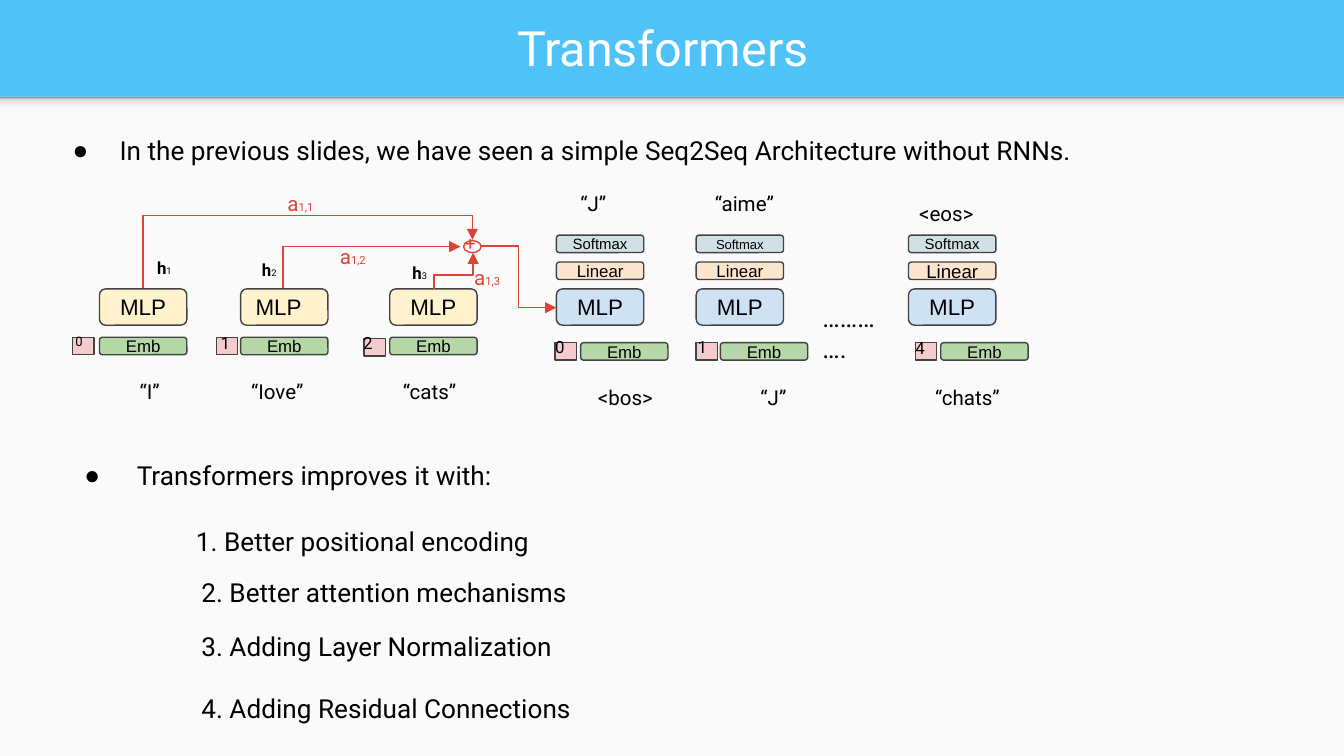
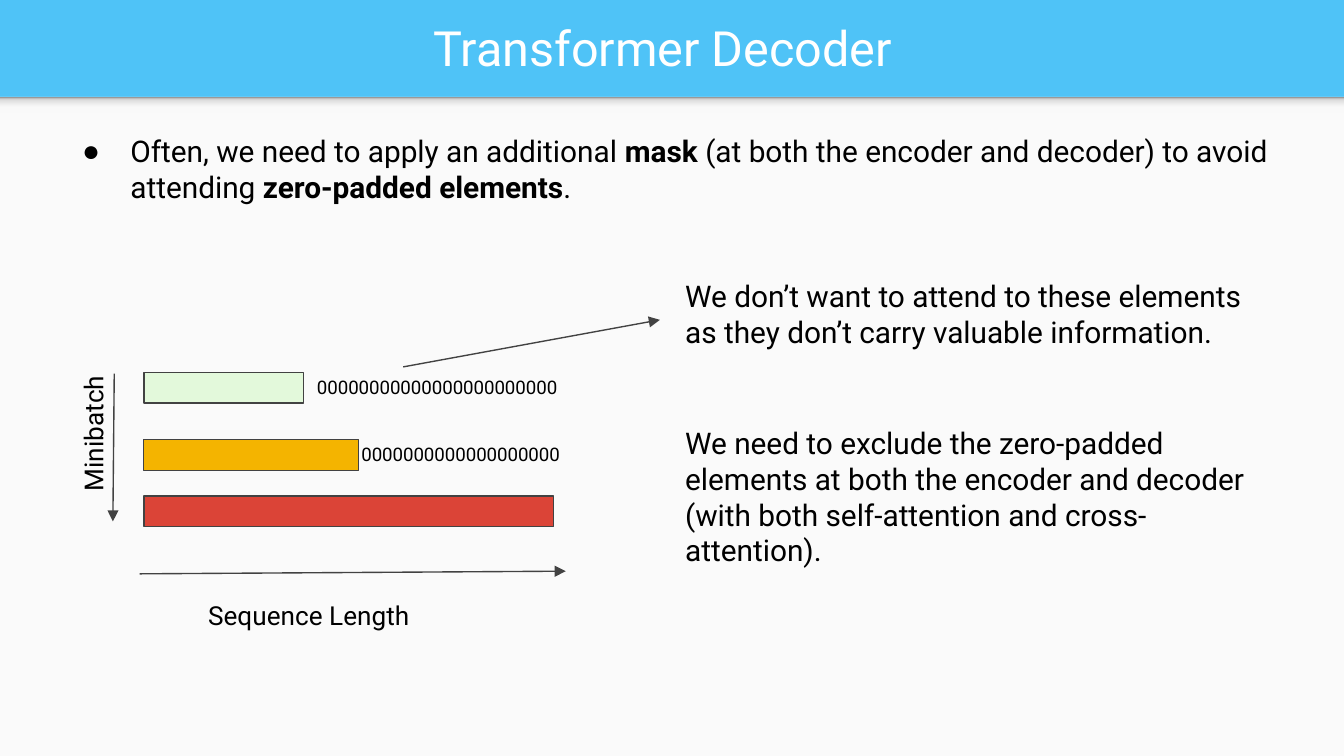
from dataclasses import dataclass

from lxml import etree
from pptx import Presentation
from pptx import util as u
from pptx.dml.color import RGBColor
from pptx.enum import shapes, text
from pptx.oxml.ns import qn

PX = 9144
LEFT, MID = text.PP_ALIGN.LEFT, text.PP_ALIGN.CENTER
TOP, CORE = text.MSO_ANCHOR.TOP, text.MSO_ANCHOR.MIDDLE
FIT, FIXED = text.MSO_AUTO_SIZE.SHAPE_TO_FIT_TEXT, text.MSO_AUTO_SIZE.NONE
RECT = shapes.MSO_SHAPE.RECTANGLE
ROUND = shapes.MSO_SHAPE.ROUNDED_RECTANGLE
OVAL = shapes.MSO_SHAPE.OVAL


@dataclass(frozen=True)
class Theme:
    sky: str = "4FC3F7"
    page: str = "FAFAFA"
    white: str = "FFFFFF"
    ink: str = "000000"
    edge: str = "424242"
    red: str = "DB4437"
    cream: str = "FFF2CC"
    green: str = "B6D7A8"
    pink: str = "F4CCCC"
    blue: str = "CFE2F3"
    peach: str = "FCE5CD"
    teal: str = "D0E0E3"
    mint: str = "E3F9DB"
    gold: str = "F4B400"
    shade: tuple = ((0, "F9F9F9"), (36, "F9F9F9"), (80, "DEDEDE"), (100, "999999"))
    font: str = "Roboto"
    sans: str = "Arial"
    head: int = 26
    lead: int = 16
    list: int = 14
    block: int = 12
    word: int = 11
    zero: int = 10
    small: int = 9
    sub: int = 6
    tiny: int = 5
    line: float = 0.75


T = Theme()


def px(*nums):
    return [u.Emu(n * PX) for n in nums]


def rgb(code):
    return RGBColor.from_string(code)


def write(frame, runs, size=T.word, color=T.ink, font=T.font, align=LEFT,
          anchor=TOP, fit=FIT, hang=None):
    frame.word_wrap = True
    frame.auto_size = fit
    frame.vertical_anchor = anchor
    frame.margin_left = frame.margin_right = u.Inches(0.1)
    frame.margin_top = frame.margin_bottom = u.Inches(0.1)
    para = frame.paragraphs[0]
    para.alignment = align
    para.space_before = u.Pt(0)
    if hang:
        bullet(para, *hang)
    for item in [(runs, {})] if isinstance(runs, str) else runs:
        part, look = item
        run = para.add_run()
        run.text = part
        run.font.name = font
        run.font.size = u.Pt(look.get("size", size))
        run.font.bold = look.get("bold", False)
        run.font.color.rgb = rgb(color)


def bullet(para, left, back):
    props = para._p.get_or_add_pPr()
    props.set("marL", str(left * PX))
    props.set("indent", str(-back * PX))
    tint = etree.SubElement(props, qn("a:buClr"))
    etree.SubElement(tint, qn("a:srgbClr"), val=T.ink)
    etree.SubElement(props, qn("a:buFont"), typeface=T.sans)
    etree.SubElement(props, qn("a:buChar"), char="●")


def label(slide, box, runs, **look):
    shape = slide.shapes.add_textbox(*px(*box))
    write(shape.text_frame, runs, **look)
    return shape


def block(slide, kind, box, fill, line=T.edge, words="", size=T.small, align=MID):
    shape = slide.shapes.add_shape(kind, *px(*box))
    shape.shadow.inherit = False
    shape.fill.solid()
    shape.fill.fore_color.rgb = rgb(fill)
    if line:
        shape.line.color.rgb = rgb(line)
        shape.line.width = u.Pt(T.line)
    else:
        shape.line.fill.background()
    if words:
        write(shape.text_frame, words, size=size, font=T.sans, align=align,
              anchor=CORE, fit=FIXED)
    return shape


def arrow(slide, start, end, color=T.edge, kind=shapes.MSO_CONNECTOR.STRAIGHT):
    link = slide.shapes.add_connector(kind, *px(*start, *end))
    link.line.color.rgb = rgb(color)
    link.line.width = u.Pt(T.line)
    etree.SubElement(link.line._get_or_add_ln(), qn("a:tailEnd"), type="triangle")
    etree.SubElement(link._element.spPr, qn("a:effectLst"))
    return link


def elbow(slide, start, end, bend=None, rise=False):
    (x1, y1), (x2, y2) = start, end
    if rise:
        wide, high = y1 - y2, x2 - x1
        x1, y1 = (x1 + x2 - wide) // 2, (y1 + y2 - high) // 2
        x2, y2 = x1 + wide, y1 + high
    link = arrow(slide, (x1, y1), (x2, y2), T.red, shapes.MSO_CONNECTOR.ELBOW)
    props = link._element.spPr
    if rise:
        props.find(qn("a:xfrm")).set("rot", "16200000")
    geom = props.find(qn("a:prstGeom"))
    if bend is None:
        geom.set("prst", "bentConnector2")
    else:
        guides = geom.find(qn("a:avLst"))
        if guides is None:
            guides = etree.SubElement(geom, qn("a:avLst"))
        etree.SubElement(guides, qn("a:gd"), name="adj1", fmla=f"val {bend * 1000}")


def fade(shape):
    shape.fill.background()
    blank = shape._element.spPr.find(qn("a:noFill"))
    grad = etree.Element(qn("a:gradFill"))
    stops = etree.SubElement(grad, qn("a:gsLst"))
    for place, code in T.shade:
        stop = etree.SubElement(stops, qn("a:gs"), pos=str(place * 1000))
        etree.SubElement(stop, qn("a:srgbClr"), val=code)
    etree.SubElement(grad, qn("a:lin"), ang="16200000", scaled="0")
    blank.getparent().replace(blank, grad)


def dress(layout, slide):
    layout.background.fill.solid()
    layout.background.fill.fore_color.rgb = rgb(T.sky)
    page = block(slide, RECT, (0, 72, 1000, 491), T.page, None)
    band = block(slide, RECT, (0, 72, 1000, 12), T.page, None)
    fade(band)
    for spot, shape in enumerate((page, band), 2):
        layout.shapes._spTree.insert(spot, shape._element)


def place(shape, box):
    shape.left, shape.top, shape.width, shape.height = px(*box)


def start(deck, layout, title, box, lead, size, back):
    slide = deck.slides.add_slide(layout)
    head, body = slide.shapes.title, slide.placeholders[1]
    place(head, (11, 2, 965, 66))
    write(head.text_frame, title, size=T.head, color=T.white, align=MID,
          anchor=CORE, fit=FIXED)
    place(body, box)
    write(body.text_frame, lead, size=size, hang=(50, back))
    return slide


def token(slide, x, y, word, spot, digit, cell, size=T.small):
    block(slide, ROUND, (x, y, 65, 13), T.green, words="Emb")
    label(slide, spot, word)
    block(slide, RECT, (*cell[0], 16, 13), T.pink)
    label(slide, cell[1], digit, size=size)


def encode(slide):
    for x, align in (74, MID), (179, LEFT), (290, MID):
        block(slide, ROUND, (x, 215, 65, 27), T.cream, words="MLP",
              size=T.block, align=align)
    token(slide, 74, 251, "“I”", (94, 273, 36, 39), "0",
          ((54, 251), (50, 242, 16, 32)), 7)
    token(slide, 179, 251, "“Iove”", (177, 273, 60, 39), "1",
          ((161, 251), (157, 240, 17, 35)))
    token(slide, 290, 251, "“cats”", (290, 273, 65, 39), "2",
          ((271, 252), (267, 240, 13, 35)))
    states = (107, 184, 31), (185, 186, 38), (297, 188, 38)
    for num, (x, y, wide) in enumerate(states, 1):
        label(slide, (x, y, wide, 35),
              [("h", {"bold": True}), (str(num), {"size": T.tiny})], size=T.small)


def decode(slide):
    for x, linear, soft in (414, 9, 8), (518, 9, 7), (676, 10, 8):
        block(slide, ROUND, (x, 215, 65, 27), T.blue, words="MLP", size=T.block)
        block(slide, ROUND, (x, 195, 65, 13), T.peach, words="Linear", size=linear)
        block(slide, ROUND, (x, 175, 65, 13), T.teal, words="Softmax", size=soft)
    for word, x, y, wide in (("“J”", 422, 133, 46), ("“aime”", 522, 133, 65),
                             ("<eos>", 674, 140, 65)):
        label(slide, (x, y, wide, 39), word)
    token(slide, 432, 255, "<bos>", (435, 277, 65, 39), "0",
          ((413, 255), (407, 243, 16, 35)))
    token(slide, 536, 255, "“J”", (556, 277, 44, 39), "1",
          ((518, 255), (513, 243, 16, 35)))
    token(slide, 700, 255, "“chats”", (686, 277, 72, 39), "4",
          ((681, 255), (675, 244, 16, 35)))
    label(slide, (602, 214, 69, 67), "………….", size=T.list)


def attend(slide):
    block(slide, OVAL, (345, 179, 13, 9), T.white, T.red)
    elbow(slide, (107, 215), (352, 179), 150, rise=True)
    elbow(slide, (323, 215), (352, 188), 39, rise=True)
    elbow(slide, (211, 215), (343, 184), rise=True)
    elbow(slide, (358, 183), (414, 229), 50)
    weights = (204, 133, 51), (243, 172, 51), (343, 188, 44)
    for num, (x, y, wide) in enumerate(weights, 1):
        label(slide, (x, y, wide, 39),
              [("a", {}), (f"1,{num}", {"size": T.sub})], color=T.red)
    label(slide, (338, 164, 18, 37), "+", size=T.zero, color=T.red)


def improve(slide):
    label(slide, (38, 332, 394, 44), "Transformers improves it with:",
          size=T.list, hang=(54, 39))
    gains = (("Better positional encoding", 136, 381),
             ("Better attention mechanisms", 140, 419),
             ("Adding Layer Normalization", 140, 459),
             ("Adding Residual Connections", 140, 505))
    for num, (gain, x, y) in enumerate(gains, 1):
        label(slide, (x, y, 328, 44), f"{num}. {gain}", size=T.list)


def batch(slide):
    for y, wide, fill in (277, 119, T.mint), (327, 160, T.gold), (369, 305, T.red):
        block(slide, RECT, (107, y, wide, 23), fill)
    for x, y, zeros in ((226, 271, "00000000000000000000000"),
                        (259, 321, "0000000000000000000")):
        label(slide, (x, y, 212, 37), zeros, size=T.zero)
    arrow(slide, (85, 278), (84, 388))
    arrow(slide, (104, 427), (421, 425))
    arrow(slide, (300, 273), (491, 238))
    label(slide, (14, 298, 111, 44), "Minibatch", size=T.list).rotation = 270
    label(slide, (145, 436, 259, 44), "Sequence Length", size=T.list)


def explain(slide):
    label(slide, (500, 197, 456, 74),
          "We don’t want to attend to these elements as they don’t carry "
          "valuable information.", size=T.lead)
    label(slide, (500, 306, 456, 128),
          "We need to exclude the zero-padded elements at both the encoder and "
          "decoder (with both self-attention and cross-attention).", size=T.lead)


def main():
    deck = Presentation()
    deck.slide_width = u.Inches(10)
    deck.slide_height = u.Emu(deck.slide_width * 9 // 16)
    layout = deck.slide_layouts[1]

    slide = start(deck, layout, "Transformers", (29, 90, 931, 44),
                  "In the previous slides, we have seen a simple Seq2Seq "
                  "Architecture without RNNs.", T.list, 35)
    dress(layout, slide)
    encode(slide)
    decode(slide)
    attend(slide)
    improve(slide)

    bold = {"bold": True}
    slide = start(deck, layout, "Transformer Decoder", (37, 89, 939, 74),
                  [("Often, we need to apply an additional ", {}), ("mask", bold),
                   (" (at both the encoder and decoder) to avoid attending ", {}),
                   ("zero-padded elements", bold), (".", {})], T.lead, 36)
    batch(slide)
    explain(slide)
    deck.save("out.pptx")


if __name__ == "__main__":
    main()
